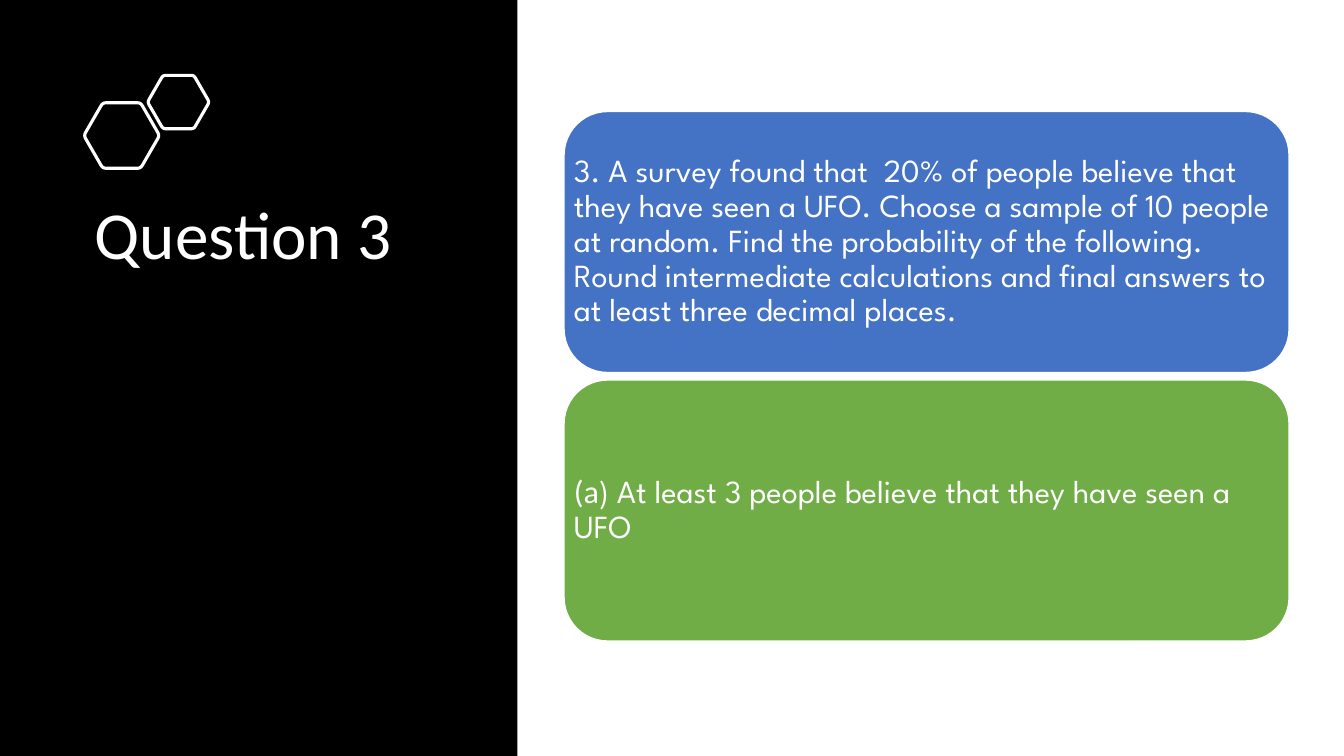
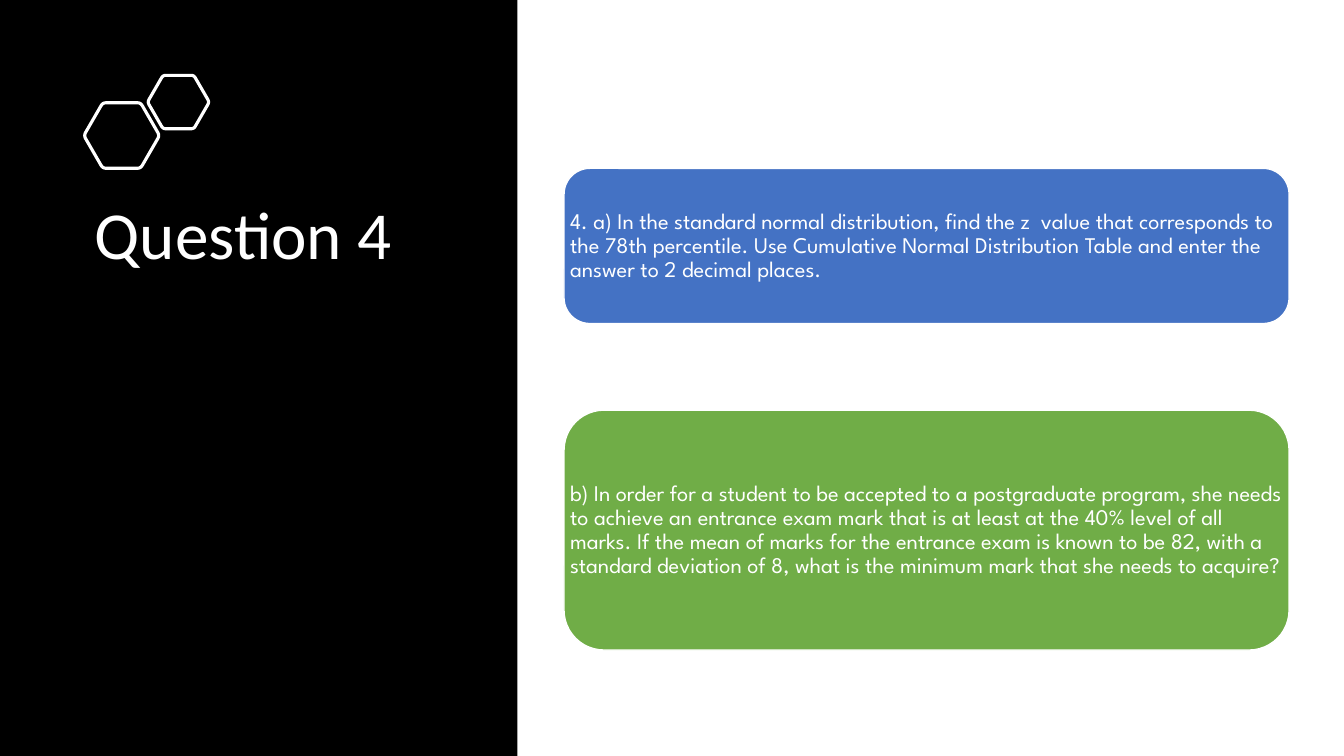
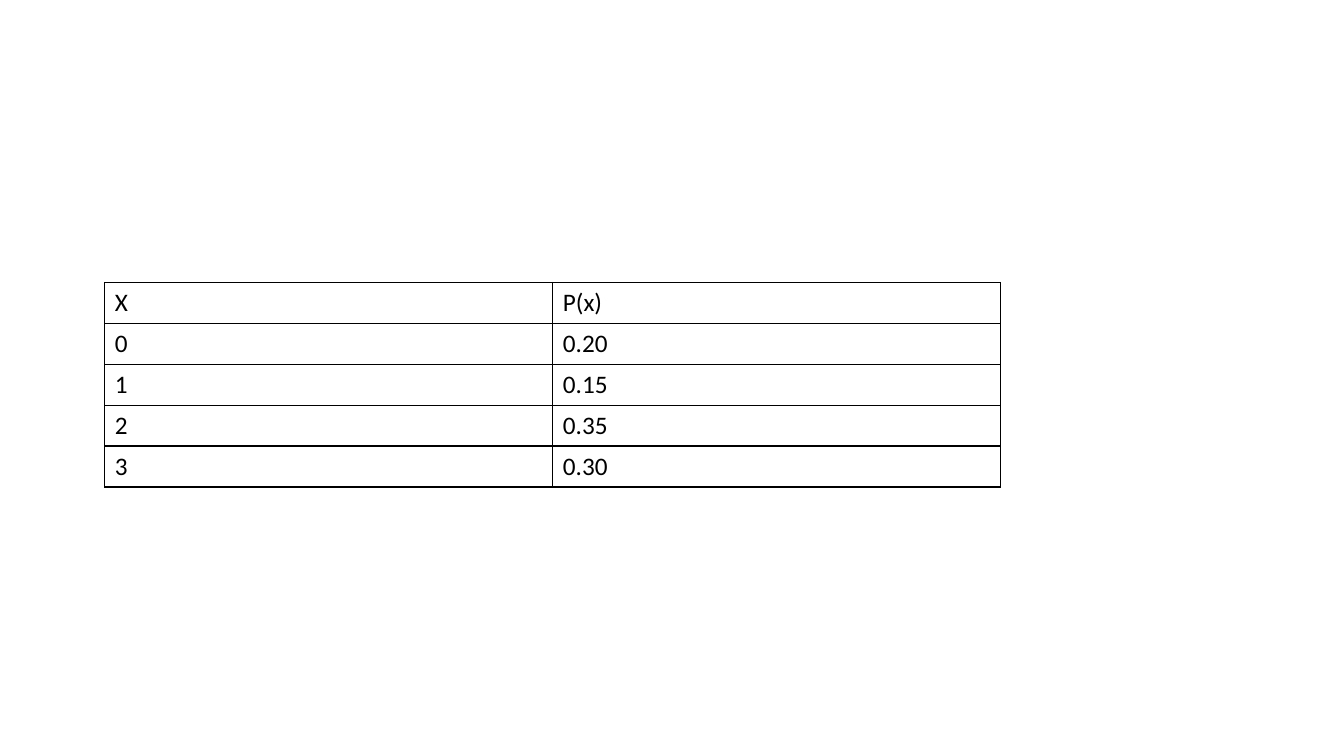
import math
from dataclasses import dataclass

from pptx import Presentation
from pptx.dml.color import RGBColor
from pptx.enum.shapes import MSO_SHAPE
from pptx.enum.text import MSO_ANCHOR, PP_ALIGN
from pptx.oxml.ns import qn
from pptx.util import Inches, Pt
from lxml import etree

RECT, ROUND_RECT = MSO_SHAPE.RECTANGLE, MSO_SHAPE.ROUNDED_RECTANGLE
TOP, MIDDLE = MSO_ANCHOR.TOP, MSO_ANCHOR.MIDDLE
LEFT = PP_ALIGN.LEFT
TITLE_ONLY, BLANK = 5, 6


@dataclass(frozen=True)
class Theme:
    width: float = 13.33
    height: float = 7.5
    black: str = "000000"
    white: str = "FFFFFF"
    blue: str = "4472C4"
    green: str = "70AD47"
    body_font: str = "Calibri"
    card_font: str = "League Spartan"
    title_size: int = 48
    table_size: int = 18


T = Theme()
BAND_WIDTH = 38.5
TITLE_BOX = (6.3, 26, 29.4, 46.67)
CARD_LEFT, CARD_WIDTH = 41.97, 53.95
HEXAGONS = [(9.06, 17.93, 8.67), (13.28, 13.5, 7.07)]

QUESTIONS = [
    dict(
        title="Question 3", size=23, inset=0.1,
        cards=[
            (14.75, 34.53, T.blue, [
                ("3. A survey found that  20% of people believe that they have seen a UFO. "
                 "Choose a sample of 10 people at random. Find the probability of the "
                 "following. Round intermediate calculations and final answers to at "
                 "least three decimal places.", T.card_font)]),
            (50.27, 34.53, T.green, [
                ("(a", T.body_font),
                (") At least 3 people believe that they have seen a UFO", T.card_font)]),
        ]),
    dict(
        title="Question 4", size=16, inset=0.06,
        cards=[
            (22.27, 20.53, T.blue, [
                ("4. a) In the standard normal distribution, find the z  value that "
                 "corresponds to the 78th percentile. Use Cumulative Normal Distribution "
                 "Table and enter the answer to 2 decimal places.", T.card_font)]),
            (54.25, 31.73, T.green, [
                ("b) In order for a student to be accepted to a postgraduate program, she "
                 "needs to achieve an entrance exam mark that is at least at the 40% level "
                 "of all marks. If the mean of marks for the entrance exam is known to be "
                 "82, with a standard deviation of 8, what is the minimum mark that she "
                 "needs to acquire?", T.card_font)]),
        ]),
]

PROBABILITIES = [("X", "P(x)"), ("0", "0.20"), ("1", "0.15"), ("2", "0.35"), ("3", "0.30")]


def px(share):
    return Inches(T.width * share / 100)


def py(share):
    return Inches(T.height * share / 100)


def box(left, top, width, height):
    return px(left), py(top), px(width), py(height)


def rgb(value):
    return RGBColor.from_string(value)


def write(tf, runs, size, color=T.white, anchor=TOP, inset=None, spacing=None):
    tf.word_wrap = True
    tf.vertical_anchor = anchor
    if inset is not None:
        tf.margin_left = tf.margin_right = tf.margin_top = tf.margin_bottom = Inches(inset)
    p = tf.paragraphs[0]
    p.alignment = LEFT
    p.line_spacing = spacing
    for text, font in runs:
        r = p.add_run()
        r.text = text
        r.font.name = font
        r.font.size = Pt(size)
        r.font.color.rgb = rgb(color)


def add_block(shapes, kind, area, fill, line=None):
    sp = shapes.add_shape(kind, *area)
    sp.shadow.inherit = False
    sp.fill.solid()
    sp.fill.fore_color.rgb = rgb(fill)
    if line:
        sp.line.color.rgb = rgb(line)
        sp.line.width = Pt(1)
    else:
        sp.line.fill.background()
    return sp


def add_hexagon(s, cx, cy, height, cut=0.09, steps=4):
    radius = py(height) / math.sqrt(3)
    corners = [(px(cx) + radius * math.cos(math.radians(60 * i)),
                py(cy) + radius * math.sin(math.radians(60 * i))) for i in range(6)]
    points = []
    for i, corner in enumerate(corners):
        before, after = corners[i - 1], corners[(i + 1) % 6]
        for step in range(steps + 1):
            t = step / steps
            points.append(tuple(
                round(c + cut * ((1 - t) ** 2 * (b - c) + t ** 2 * (a - c)))
                for b, c, a in zip(before, corner, after)))
    builder = s.shapes.build_freeform(*points[0])
    builder.add_line_segments(points[1:], close=True)
    sp = builder.convert_to_shape()
    sp.shadow.inherit = False
    sp.fill.background()
    sp.line.color.rgb = rgb(T.white)
    sp.line.width = Pt(2.25)


def add_card(s, top, height, fill, runs, size, inset):
    area = box(CARD_LEFT, top, CARD_WIDTH, height)
    group = s.shapes.add_group_shape()
    add_block(group.shapes, ROUND_RECT, area, fill, line=T.white)
    label = group.shapes.add_textbox(*area)
    write(label.text_frame, runs, size, anchor=MIDDLE, inset=inset, spacing=0.9)


def add_question(prs, title, size, inset, cards):
    s = prs.slides.add_slide(prs.slide_layouts[TITLE_ONLY])
    heading = s.shapes.title
    heading.left, heading.top, heading.width, heading.height = box(*TITLE_BOX)
    write(heading.text_frame, [(title, T.body_font)], T.title_size, spacing=0.9)
    band = add_block(s.shapes, RECT, box(0, 0, BAND_WIDTH, 100), T.black)
    heading._element.addprevious(band._element)
    for hexagon in HEXAGONS:
        add_hexagon(s, *hexagon)
    for top, height, fill, runs in cards:
        add_card(s, top, height, fill, runs, size, inset)


def add_borders(cell, color, width):
    tc_pr = cell._tc.get_or_add_tcPr()
    for side in ("lnL", "lnR", "lnT", "lnB"):
        ln = etree.SubElement(tc_pr, qn("a:" + side), w=str(Pt(width)))
        fill = etree.SubElement(ln, qn("a:solidFill"))
        etree.SubElement(fill, qn("a:srgbClr"), val=color)


def add_grid(s, rows, area):
    table = s.shapes.add_table(len(rows), len(rows[0]), *area).table
    table.first_row = table.horz_banding = False
    for i, row in enumerate(rows):
        for j, text in enumerate(row):
            cell = table.cell(i, j)
            add_borders(cell, T.black, 1)
            cell.fill.background()
            write(cell.text_frame, [(text, T.body_font)], T.table_size, color=T.black)


def main():
    prs = Presentation()
    prs.slide_width, prs.slide_height = Inches(T.width), Inches(T.height)
    for question in QUESTIONS:
        add_question(prs, **question)
    s = prs.slides.add_slide(prs.slide_layouts[BLANK])
    add_grid(s, PROBABILITIES, box(7.8, 37.35, 66.67, 27.07))
    prs.save("out.pptx")


if __name__ == "__main__":
    main()
